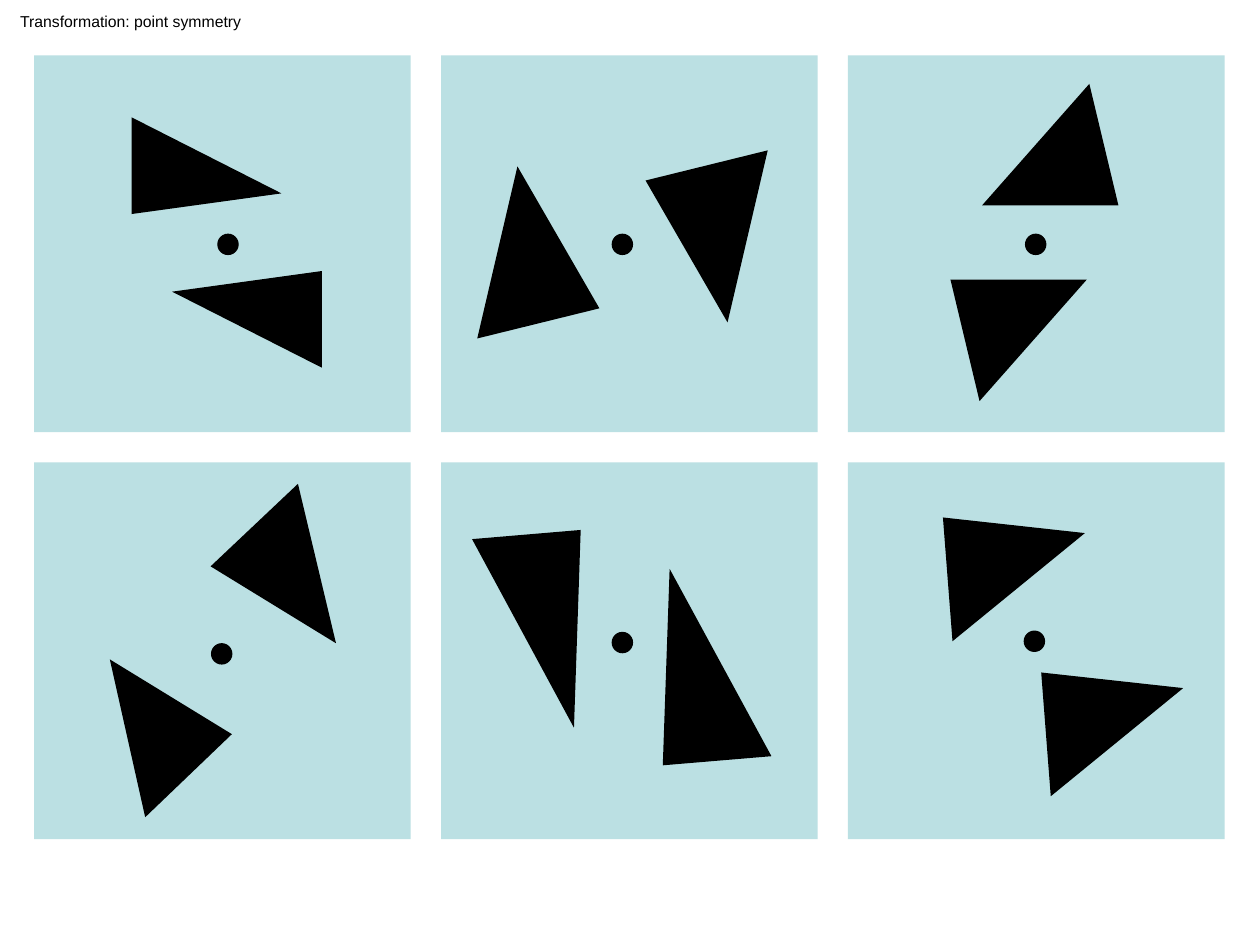
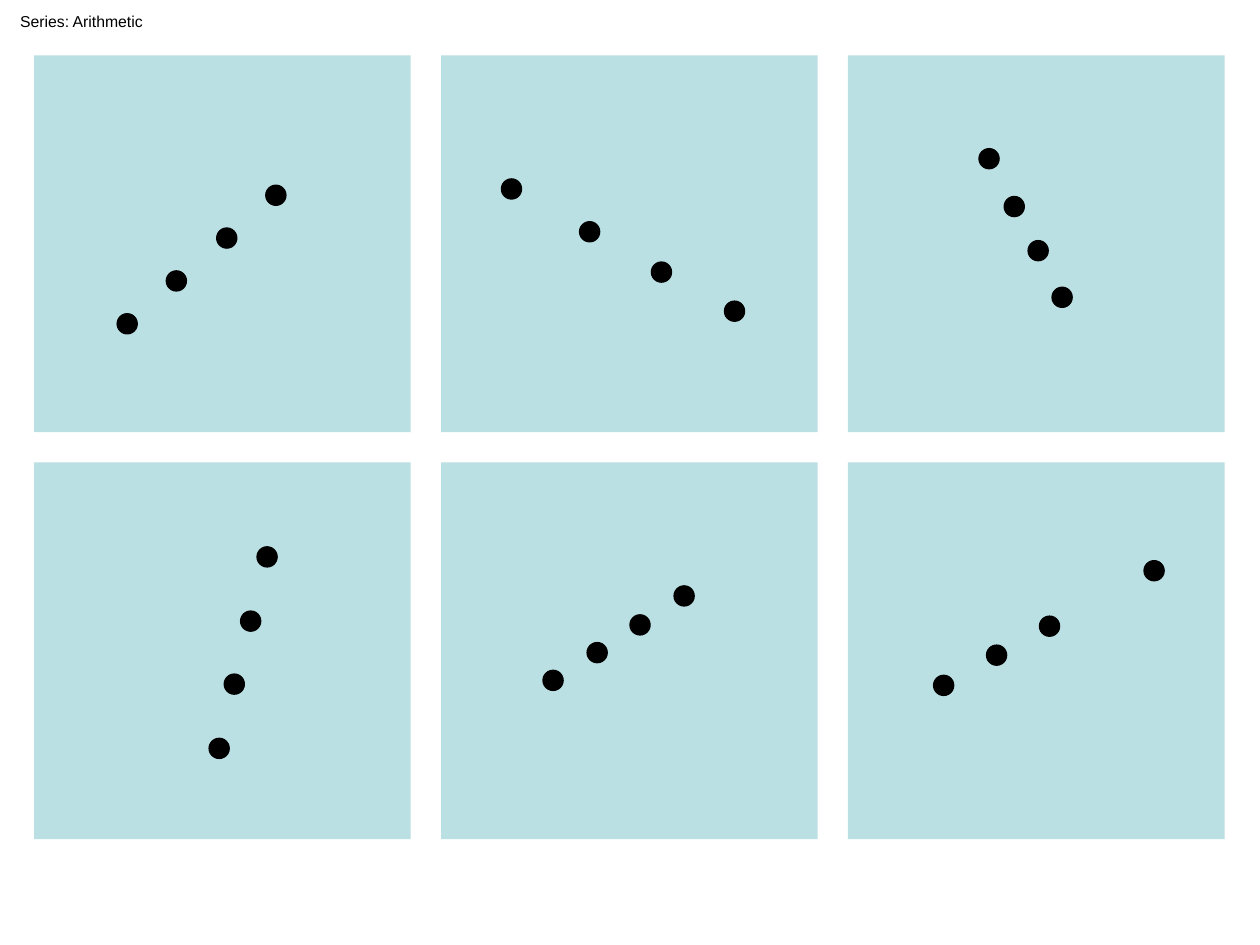
from pptx import Presentation
from pptx import util as u
from pptx.dml.color import RGBColor
from pptx.enum import shapes, text
from pptx.oxml.ns import qn
from lxml import etree

BLUE = RGBColor(0xBB, 0xE0, 0xE3)
BLACK = RGBColor(0, 0, 0)
WHITE = RGBColor(255, 255, 255)
LEFT, TOP, STEP, SIDE, DOT = 0.27, 0.44, 3.23, 2.99, 0.16
LEAN = 0.787

TURNS = {
    (0, 0): ((1.46, 1.42), [(0.99, 0.33, 0.71, 1.1, 90, ""),
                            (1.36, 1.54, 0.71, 1.1, 90, "HV")]),
    (1, 0): ((1.36, 1.42), [(-0.08, 1.24, 1.22, 0.9, 240, "H"),
                            (1.74, 0.86, 1.22, 0.9, 240, "V")]),
    (2, 0): ((1.41, 1.42), [(0.84, 1.8, 1.01, 0.9, 0, "HV"),
                            (1.11, 0.27, 1.01, 0.9, 0, "")]),
    (0, 1): ((1.41, 1.44), [(0.33, 1.82, 1.06, 0.86, 211.5, "H"),
                            (1.58, 0.31, 1.09, 0.86, 211.5, "V")]),
    (1, 1): ((1.36, 1.35), [(0.34, 0.59, 0.81, 1.46, 175.2, "H"),
                            (1.72, 0.9, 0.81, 1.45, 175.2, "V")]),
    (2, 1): ((1.4, 1.34), [(0.87, 0.36, 0.92, 1.04, 265.6, "V"),
                           (1.65, 1.59, 0.92, 1.04, 265.6, "V")]),
}
SERIES = {
    (0, 0): [(0.66, 2.05), (1.05, 1.71), (1.45, 1.37), (1.84, 1.03)],
    (1, 0): [(0.48, 0.98), (1.1, 1.32), (1.67, 1.64), (2.25, 1.95)],
    (2, 0): [(1.04, 0.74), (1.24, 1.12), (1.43, 1.47), (1.62, 1.84)],
    (0, 1): [(1.39, 2.19), (1.51, 1.68), (1.64, 1.18), (1.77, 0.67)],
    (1, 1): [(1.85, 0.98), (1.5, 1.21), (1.16, 1.43), (0.81, 1.65)],
    (2, 1): [(0.68, 1.69), (1.1, 1.45), (1.52, 1.22), (2.35, 0.78)],
}
GROUPED = (0, 1)
HEAD = {"size": u.Pt(9), "name": "Arial", "bold": False}
FRAME = {"word_wrap": False, "auto_size": text.MSO_AUTO_SIZE.SHAPE_TO_FIT_TEXT,
         "vertical_anchor": text.MSO_ANCHOR.TOP}


def assign(obj, values):
    for key, val in values.items():
        setattr(obj, key, val)


def draw(tree, kind, cell, box, fill, edge=0):
    x, y, w, h = box
    col, row = cell
    item = tree.add_shape(kind, u.Inches(LEFT + col * STEP + x),
                          u.Inches(TOP + row * STEP + y), u.Inches(w), u.Inches(h))
    item.shadow.inherit = False
    item.fill.solid()
    item.fill.fore_color.rgb = fill
    if edge:
        item.line.color.rgb = fill
        item.line.width = u.Pt(edge)
    else:
        item.line.fill.background()
    return item


def dot(tree, cell, spot):
    draw(tree, shapes.MSO_SHAPE.OVAL, cell, (*spot, DOT, DOT), BLACK, 0.75)


def wedge(tree, cell, box, turn, flips):
    item = draw(tree, shapes.MSO_SHAPE.ISOSCELES_TRIANGLE, cell, box, BLACK, 3)
    item.adjustments[0] = LEAN
    item.rotation = turn
    props = item._element.spPr
    for axis in flips:
        props.find(qn("a:xfrm")).set("flip" + axis, "1")
    etree.SubElement(props.find(qn("a:ln")), qn("a:miter"), lim="800000")


def start(deck, name, width):
    slide = deck.slides.add_slide(deck.slide_layouts[5])
    slide.background.fill.solid()
    slide.background.fill.fore_color.rgb = WHITE
    title = slide.shapes.title
    assign(title, {"left": u.Inches(0.06), "top": u.Inches(0.04),
                   "width": u.Inches(width), "height": u.Inches(0.25)})
    title.text_frame.text = name
    assign(title.text_frame, FRAME)
    para = title.text_frame.paragraphs[0]
    para.alignment = text.PP_ALIGN.LEFT
    assign(para.runs[0].font, HEAD)
    para.runs[0].font.color.rgb = BLACK
    for cell in TURNS:
        draw(slide.shapes, shapes.MSO_SHAPE.RECTANGLE, cell, (0, 0, SIDE, SIDE), BLUE)
    return slide.shapes


def main():
    deck = Presentation()
    deck.slide_width, deck.slide_height = u.Inches(10), u.Inches(7.5)

    tree = start(deck, "Transformation: point symmetry", 1.96)
    for cell, (spot, pair) in TURNS.items():
        dot(tree, cell, spot)
        for *box, turn, flips in pair:
            wedge(tree, cell, box, turn, flips)

    tree = start(deck, "Series: Arithmetic", 1.18)
    for cell, spots in SERIES.items():
        home = tree.add_group_shape().shapes if cell[0] in GROUPED else tree
        for spot in spots:
            dot(home, cell, spot)

    deck.save("out.pptx")


if __name__ == "__main__":
    main()
